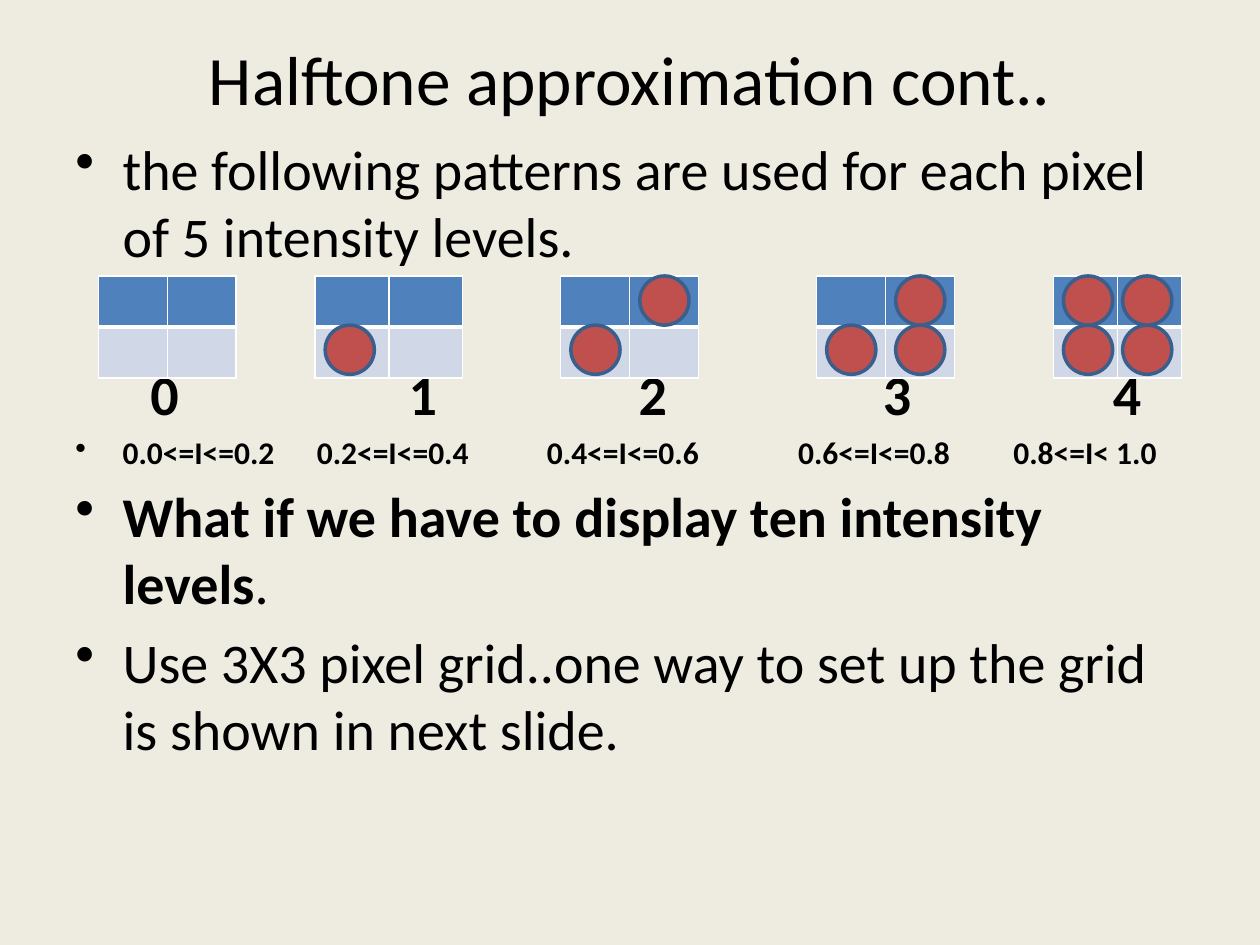
from lxml.etree import SubElement
from pptx import Presentation
from pptx.dml.color import RGBColor
from pptx.enum.shapes import MSO_SHAPE
from pptx.enum.text import MSO_ANCHOR, PP_ALIGN
from pptx.oxml.ns import qn
from pptx.util import Pt

BACKGROUND = RGBColor(0xEE, 0xEC, 0xE1)
BLACK = RGBColor(0, 0, 0)
WHITE = RGBColor(0xFF, 0xFF, 0xFF)
BLUE = RGBColor(0x4F, 0x81, 0xBD)
PALE_BLUE = RGBColor(0xD0, 0xD8, 0xE8)
RED = RGBColor(0xC0, 0x50, 0x4D)
DOT_EDGE = RGBColor(0x3A, 0x5F, 0x8C)

GRID_TOP = 157.7
CELL_HEIGHT = 29.2
DOT_SIZE = 28.1
DOT_INSET = 5.8
INDENT = 27

# Grid left, cell width, distance between dot columns, dots as (row, column)
PATTERNS = [
    (56.2, 39.4, 39.4, []),
    (180, 42.2, 39.4, [(1, 0)]),
    (320.4, 39.4, 39.4, [(1, 0), (0, 1)]),
    (466.6, 39.4, 39.4, [(1, 0), (1, 1), (0, 1)]),
    (601.9, 36.6, 33.8, [(1, 0), (1, 1), (0, 1), (0, 0)]),
]
LEVELS = ["0", "1", "2", "3", "4"]
LEVEL_TABS = [51, 198.5, 330, 469.5, 601]
RANGES = ["0.0<=I<=0.2", "0.2<=I<=0.4", "0.4<=I<=0.6", "0.6<=I<=0.8", "0.8<=I< 1.0"]
RANGE_TABS = [138, 269.5, 413, 536]


class SlideBuilder:
    font = "Calibri"

    def __init__(self, slide):
        self.slide = slide
        slide.background.fill.solid()
        slide.background.fill.fore_color.rgb = BACKGROUND

    def text_frame(self, left, top, width, height, anchor=MSO_ANCHOR.TOP):
        box = self.slide.shapes.add_textbox(Pt(left), Pt(top), Pt(width), Pt(height))
        frame = box.text_frame
        frame.word_wrap = True
        frame.vertical_anchor = anchor
        return frame

    def run(self, paragraph, text, size, bold=False):
        run = paragraph.add_run()
        run.text = text
        run.font.name = self.font
        run.font.size = Pt(size)
        run.font.bold = bold
        run.font.color.rgb = BLACK

    def paragraph(self, frame, runs, size=32, before=6.4, bullet=True, tabs=(), tab_align="l"):
        first = frame.paragraphs[0]
        paragraph = frame.add_paragraph() if first.runs else first
        paragraph.space_before = Pt(before)
        properties = paragraph._p.get_or_add_pPr()
        if bullet:
            properties.set("marL", str(Pt(INDENT)))
            properties.set("indent", str(Pt(-INDENT)))
            SubElement(properties, qn("a:buChar"), char="•")
        if tabs:
            stops = SubElement(properties, qn("a:tabLst"))
            for position in tabs:
                SubElement(stops, qn("a:tab"), pos=str(Pt(position)), algn=tab_align)
        for text, bold in runs:
            self.run(paragraph, text, size, bold)

    def border(self, cell, side, width):
        line = SubElement(cell._tc.get_or_add_tcPr(), qn(f"a:ln{side}"), w=str(Pt(width)))
        fill = SubElement(line, qn("a:solidFill"))
        SubElement(fill, qn("a:srgbClr"), val=str(WHITE))

    def grid(self, left, cell_width):
        table = self.slide.shapes.add_table(
            2, 2, Pt(left), Pt(GRID_TOP), Pt(2 * cell_width), Pt(2 * CELL_HEIGHT)).table
        for column in table.columns:
            column.width = Pt(cell_width)
        for row, color in zip(table.rows, (BLUE, PALE_BLUE)):
            row.height = Pt(CELL_HEIGHT)
            for cell in row.cells:
                for side in "LRTB":
                    self.border(cell, side, 3 if side == "B" and color == BLUE else 1)
                cell.fill.solid()
                cell.fill.fore_color.rgb = color

    def dot(self, left, top):
        dot = self.slide.shapes.add_shape(
            MSO_SHAPE.OVAL, Pt(left), Pt(top), Pt(DOT_SIZE), Pt(DOT_SIZE))
        dot.shadow.inherit = False
        dot.fill.solid()
        dot.fill.fore_color.rgb = RED
        dot.line.color.rgb = DOT_EDGE
        dot.line.width = Pt(2)


def main():
    presentation = Presentation()
    presentation.slide_width, presentation.slide_height = Pt(720), Pt(540)
    builder = SlideBuilder(presentation.slides.add_slide(presentation.slide_layouts[6]))

    # Title
    title = builder.text_frame(36, 21.6, 648, 46, MSO_ANCHOR.MIDDLE)
    builder.paragraph(title, [("Halftone approximation cont..", False)], 39.6, 0, bullet=False)
    title.paragraphs[0].alignment = PP_ALIGN.CENTER

    # Body, with room left for the pattern grids
    body = builder.text_frame(36, 73.4, 648, 444)
    builder.paragraph(body, [(
        "the following patterns are used for each pixel of 5 intensity levels.", False)])
    builder.paragraph(body, [("\t" + "\t".join(LEVELS), True)], before=51.5,
                      bullet=False, tabs=LEVEL_TABS, tab_align="ctr")
    builder.paragraph(body, [("\t".join(RANGES), True)], 18, 3.6, tabs=RANGE_TABS)
    builder.paragraph(body, [
        ("What if we have to display ten intensity levels", True), (".", False)])
    builder.paragraph(body, [(
        "Use 3X3 pixel grid..one way to set up the grid is shown in next slide.", False)])

    # Pattern grids with their dots
    for left, cell_width, dot_pitch, dots in PATTERNS:
        builder.grid(left, cell_width)
        for row, column in dots:
            builder.dot(left + DOT_INSET + column * dot_pitch, GRID_TOP + row * DOT_SIZE)

    presentation.save("out.pptx")


if __name__ == "__main__":
    main()
